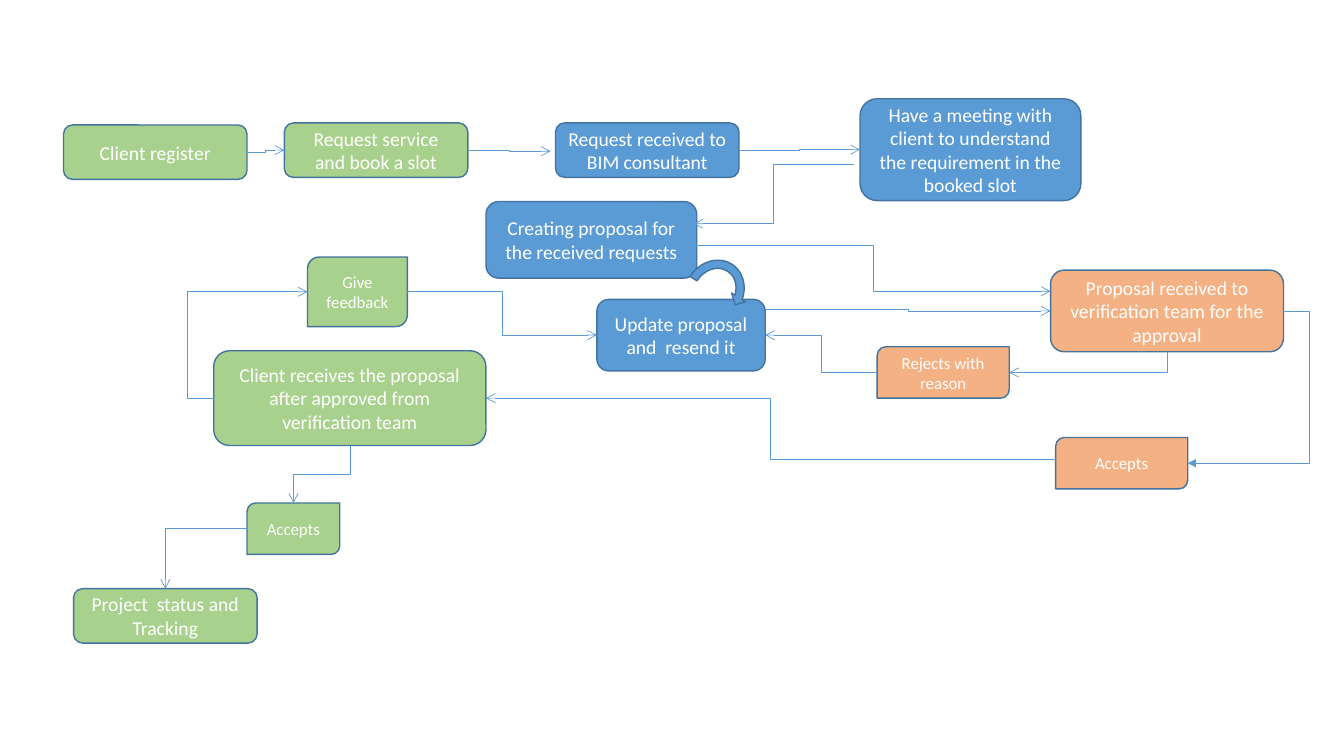
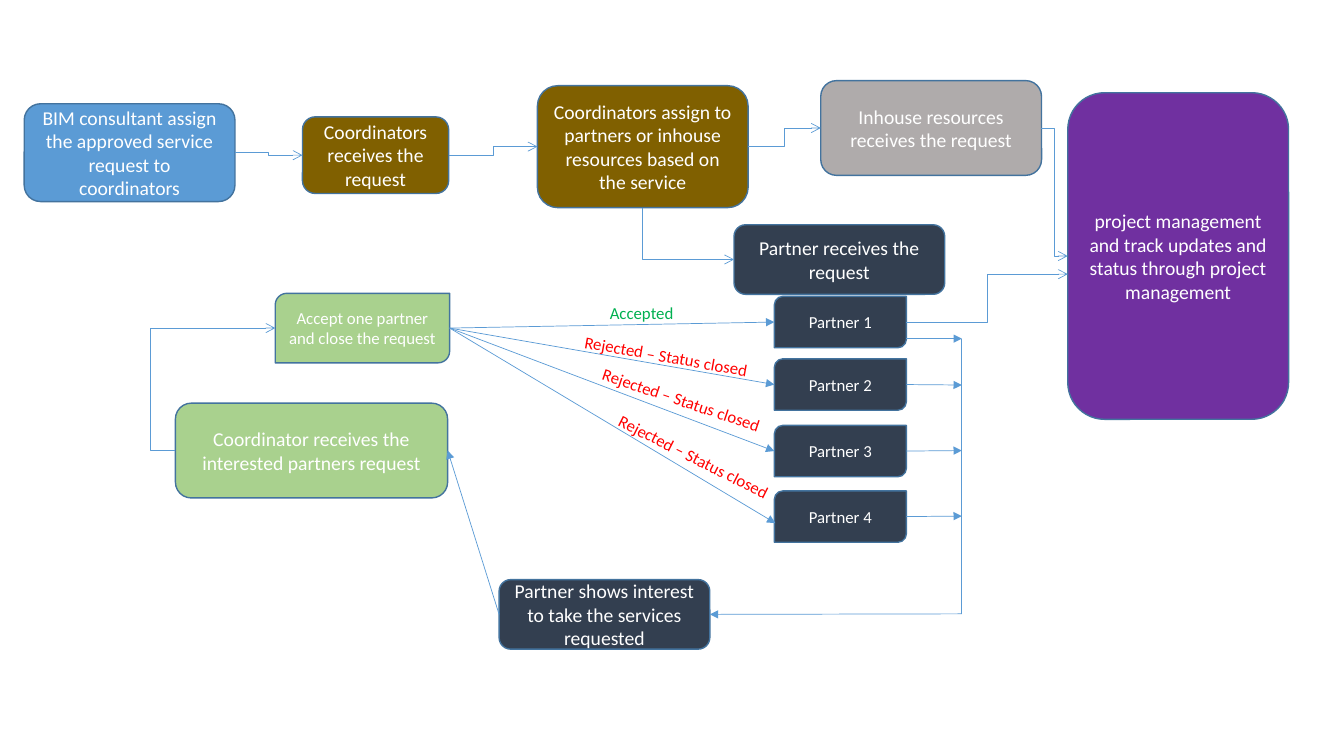
from dataclasses import dataclass

from pptx import Presentation
from pptx.dml.color import RGBColor
from pptx.enum.shapes import MSO_CONNECTOR, MSO_SHAPE
from pptx.enum.text import MSO_ANCHOR, PP_ALIGN
from pptx.oxml.ns import qn
from pptx.util import Inches, Pt
from lxml.etree import SubElement


@dataclass(frozen=True)
class Theme:
    font: str = "Calibri"
    big: int = 14
    small: int = 12
    edge: float = 1
    thin: float = 0.5
    white: str = "FFFFFF"
    rim: str = "43739E"
    blue: str = "5B9BD5"
    green: str = "A9D18E"
    peach: str = "F4B183"
    brown: str = "806000"
    navy: str = "333F50"
    gray: str = "AFABAB"
    plum: str = "7030A0"
    yes: str = "00B050"
    no: str = "FF0000"


T = Theme()
TOP, LEFT, BASE, RIGHT = range(4)
STEP, WIDE, TALL, CARD = (1.82, 0.54), (2.09, 0.69), (2.7, 0.94), (1.31, 0.51)
ROUND, LEAF = MSO_SHAPE.ROUNDED_RECTANGLE, MSO_SHAPE.ROUND_2_DIAG_RECTANGLE


def put(item, form):
    for key, value in form.items():
        setattr(item, key, value)


def write(frame, text, size, color, align):
    put(frame, {"word_wrap": True})
    part = frame.paragraphs[0]
    part.alignment = align
    run = part.add_run()
    run.text = text
    put(run.font, {"name": T.font, "size": Pt(size)})
    run.font.color.rgb = RGBColor.from_string(color)


def add_box(slide, kind, at, fill, text="", turn=0):
    box = slide.shapes.add_shape(kind, *map(Inches, at))
    put(box, {"rotation": turn})
    put(box.shadow, {"inherit": False})
    box.fill.solid()
    box.fill.fore_color.rgb = RGBColor.from_string(fill)
    box.line.color.rgb = RGBColor.from_string(T.rim)
    box.line.width = Pt(T.edge)
    if text:
        size = T.small if kind == LEAF else T.big
        box.text_frame.vertical_anchor = MSO_ANCHOR.MIDDLE
        write(box.text_frame, text, size, T.white, PP_ALIGN.CENTER)
    return box


def add_all(slide, rows):
    return {name: add_box(slide, kind, (*spot, *size), fill, text)
            for name, kind, spot, size, fill, text in rows}


def add_note(slide, at, turn, text, color):
    note = slide.shapes.add_textbox(*map(Inches, at))
    put(note, {"rotation": turn})
    write(note.text_frame, text, T.small, color, PP_ALIGN.LEFT)


def place(boxes, end):
    if not isinstance(end[0], str):
        return tuple(map(Inches, end))
    box, side = boxes[end[0]], end[1]
    x = box.left + box.width * {LEFT: 0, RIGHT: 2}.get(side, 1) // 2
    y = box.top + box.height * {TOP: 0, BASE: 2}.get(side, 1) // 2
    return x, y


def add_line(slide, kind, start, stop, tip, tag="a:tailEnd"):
    line = slide.shapes.add_connector(kind, *start, *stop)
    line.line.color.rgb = RGBColor.from_string(T.blue)
    line.line.width = Pt(T.thin)
    props = line._element.spPr
    if tip:
        SubElement(props.find(qn("a:ln")), qn(tag), type=tip)
    SubElement(props, qn("a:effectLst"))
    return line


def join(slide, boxes, start, stop, tip="triangle"):
    line = add_line(slide, MSO_CONNECTOR.STRAIGHT,
                    place(boxes, start), place(boxes, stop), tip)
    for end, glue in ((start, line.begin_connect), (stop, line.end_connect)):
        if isinstance(end[0], str):
            glue(boxes[end[0]], end[1])


def bend(slide, boxes, start, stop, tip="arrow", turn=None):
    first, last = place(boxes, start), place(boxes, stop)
    line = add_line(slide, MSO_CONNECTOR.ELBOW, first, last, tip)
    if turn is not None:
        ratio = (Inches(turn) - first[0]) / (last[0] - first[0])
        shape = line._element.spPr.find(qn("a:prstGeom"))
        SubElement(shape.find(qn("a:avLst")), qn("a:gd"),
                   name="adj1", fmla=f"val {round(ratio * 100000)}")


def corner(slide, boxes, start, stop, tag="a:tailEnd"):
    line = add_line(slide, MSO_CONNECTOR.ELBOW,
                    place(boxes, start), place(boxes, stop), "arrow", tag)
    line._element.spPr.find(qn("a:prstGeom")).set("prst", "bentConnector2")


def drop(slide, boxes, start, stop):
    (x, y), (end, low) = place(boxes, start), place(boxes, stop)
    mid, half, reach = (x + end) // 2, (low - y) // 2, (x - end) // 2
    center = (y + low) // 2
    line = add_line(slide, MSO_CONNECTOR.ELBOW, (mid - half, center - reach),
                    (mid + half, center + reach), "arrow")
    line._element.spPr.find(qn("a:xfrm")).set("rot", "5400000")


def client(slide):
    boxes = add_all(slide, [
        ("join", ROUND, (0.63, 1.24), STEP, T.green, "Client register"),
        ("book", ROUND, (2.82, 1.22), STEP, T.green, "Request service and book a slot"),
        ("ask", ROUND, (5.51, 1.22), STEP, T.blue, "Request received to BIM consultant"),
        ("draft", ROUND, (4.82, 2), (2.09, 0.76), T.blue,
         "Creating proposal for the received requests"),
        ("check", ROUND, (10.42, 2.68), (2.31, 0.81), T.peach,
         "Proposal received to verification team for the approval"),
        ("get", ROUND, (2.12, 3.48), TALL, T.green,
         "Client receives the proposal after approved from verification team"),
        ("meet", ROUND, (8.53, 0.98), (2.19, 1.01), T.blue,
         "Have a meeting with client to understand the requirement in the booked slot"),
        ("deny", LEAF, (8.7, 3.44), CARD, T.peach, "Rejects with reason"),
        ("redo", ROUND, (5.92, 2.97), (1.67, 0.71), T.blue,
         "Update proposal and  resend it"),
        ("agree", LEAF, (2.45, 4.99), (0.92, 0.51), T.green, "Accepts"),
        ("reply", LEAF, (3.05, 2.55), (0.99, 0.69), T.green, "Give feedback"),
        ("track", ROUND, (0.73, 5.84), STEP, T.green, "Project  status and Tracking"),
        ("pass", LEAF, (10.47, 4.34), CARD, T.peach, "Accepts"),
    ])
    add_box(slide, MSO_SHAPE.CIRCULAR_ARROW, (6.76, 2.53, 0.65, 0.73), T.blue, turn=32.2)
    for start, stop, *more in [
        (("join", RIGHT), ("book", LEFT)),
        (("book", RIGHT), (5.46, 1.5)),
        (("ask", RIGHT), ("meet", LEFT)),
        ((8.47, 1.63), (6.88, 2.22)),
        ((10.47, 4.56), ("get", RIGHT)),
        (("deny", LEFT), ("redo", RIGHT)),
        ((7.6, 3.07), ("check", LEFT)),
        (("get", LEFT), ("reply", LEFT), "arrow", 1.86),
        (("reply", RIGHT), ("redo", LEFT)),
        (("check", RIGHT), ("pass", RIGHT), "triangle", 12.99),
        ((6.9, 2.43), (10.42, 2.89)),
    ]:
        bend(slide, boxes, start, stop, *more)
    corner(slide, boxes, ("deny", RIGHT), ("check", BASE), "a:headEnd")
    corner(slide, boxes, ("agree", LEFT), ("track", TOP))
    drop(slide, boxes, ("get", BASE), ("agree", TOP))


def partner(slide):
    boxes = add_all(slide, [
        ("send", ROUND, (0.24, 1.03), (2.09, 0.97), T.blue,
         "BIM consultant assign the approved service request to coordinators"),
        ("get", ROUND, (3, 1.16), (1.45, 0.76), T.brown,
         "Coordinators receives the request"),
        ("split", ROUND, (5.33, 0.85), (2.09, 1.21), T.brown,
         "Coordinators assign to partners or inhouse resources based on the service"),
        ("ask", ROUND, (7.28, 2.23), WIDE, T.navy, "Partner receives the request"),
        ("list", ROUND, (1.74, 4), TALL, T.green,
         "Coordinator receives the interested partners request"),
        ("house", ROUND, (8.14, 0.8), (2.19, 0.94), T.gray,
         "Inhouse resources receives the request"),
        ("pick", LEAF, (2.73, 2.91), (1.73, 0.69), T.green,
         "Accept one partner and close the request"),
        ("track", ROUND, (10.59, 0.92), (2.19, 3.24), T.plum,
         "project management and track updates and status through project management"),
        ("show", ROUND, (4.95, 5.75), WIDE, T.navy,
         "Partner shows interest to take the services requested"),
        *((f"Partner {n}", LEAF, (7.68, top), CARD, T.navy, f"Partner {n}")
          for n, top in enumerate((2.94, 3.56, 4.22, 4.87), 1)),
    ])
    for start, stop, *more in [
        (("send", RIGHT), ("get", LEFT)),
        (("get", RIGHT), ("split", LEFT)),
        (("split", RIGHT), ("house", LEFT)),
        (("list", LEFT), ("pick", LEFT), "arrow", 1.49),
        (("house", RIGHT), ("track", LEFT)),
        (("Partner 1", RIGHT), (10.59, 2.72)),
    ]:
        bend(slide, boxes, start, stop, *more)
    corner(slide, boxes, ("ask", LEFT), ("split", BASE), "a:headEnd")
    rail, low = 9.54, 6.09
    for start, stop, *more in [
        *((("pick", RIGHT), (f"Partner {n}", LEFT)) for n in (1, 2, 3)),
        (("pick", RIGHT), (7.69, 5.19)),
        ((8.99, 3.36), (rail, 3.36)),
        *(((f"Partner {n}", RIGHT), (rail, y))
          for n, y in ((2, 3.82), (3, 4.47), (4, 5.12))),
        ((rail, 3.36), (rail, low), None),
        ((rail, low), ("show", RIGHT)),
        (("show", LEFT), ("list", RIGHT)),
    ]:
        join(slide, boxes, start, stop, *more)
    add_note(slide, (5.95, 2.95, 1.06, 0.3), 0, "Accepted", T.yes)
    for x, y, turn in ((5.69, 3.39, 10.1), (5.84, 3.83, 18.7), (5.96, 4.4, 26.7)):
        add_note(slide, (x, y, 1.92, 0.3), turn, "Rejected – Status closed", T.no)


def main():
    deck = Presentation()
    put(deck, {"slide_width": Inches(13.33), "slide_height": Inches(7.5)})
    for build in (client, partner):
        build(deck.slides.add_slide(deck.slide_layouts[6]))
    deck.save("out.pptx")


if __name__ == "__main__":
    main()
